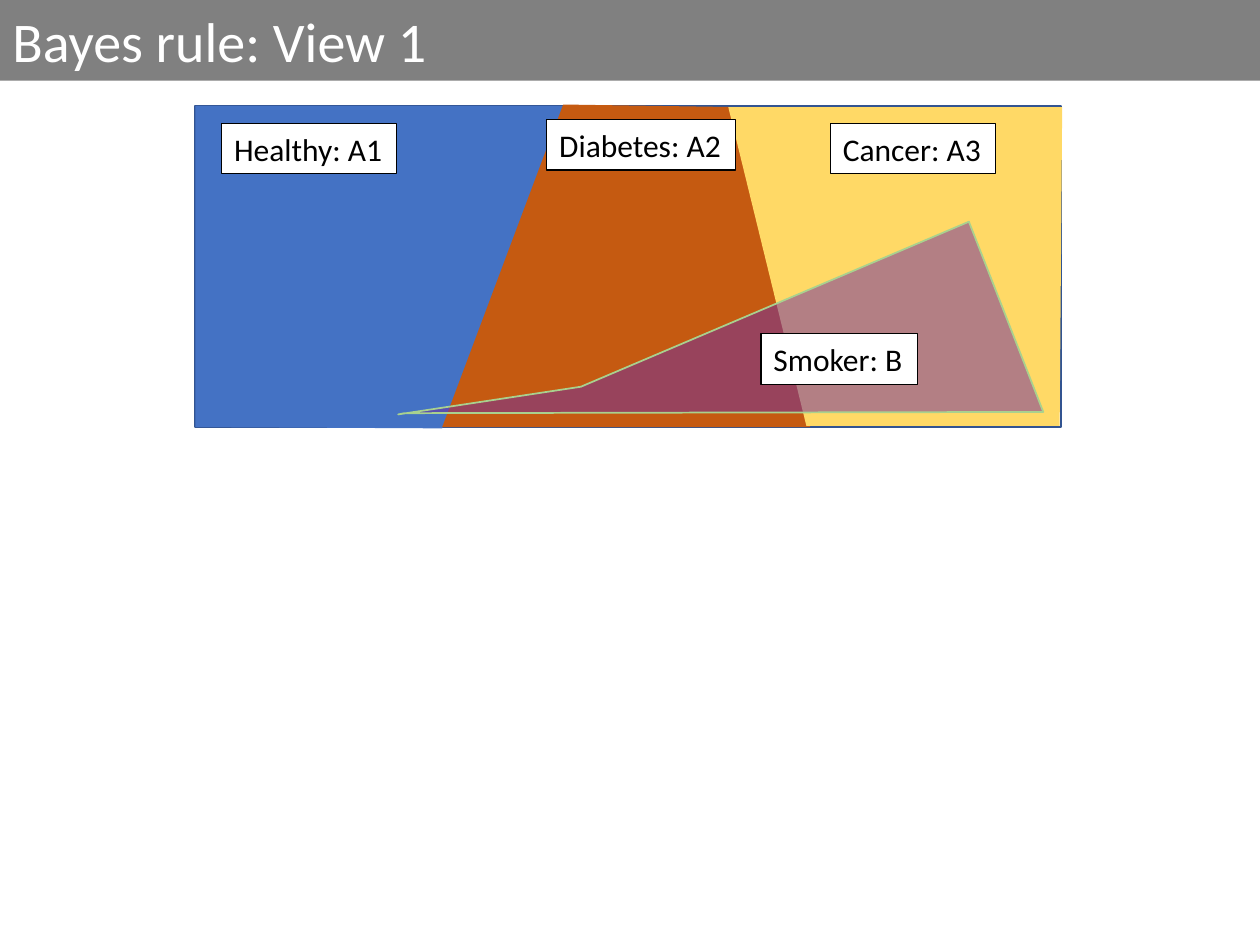
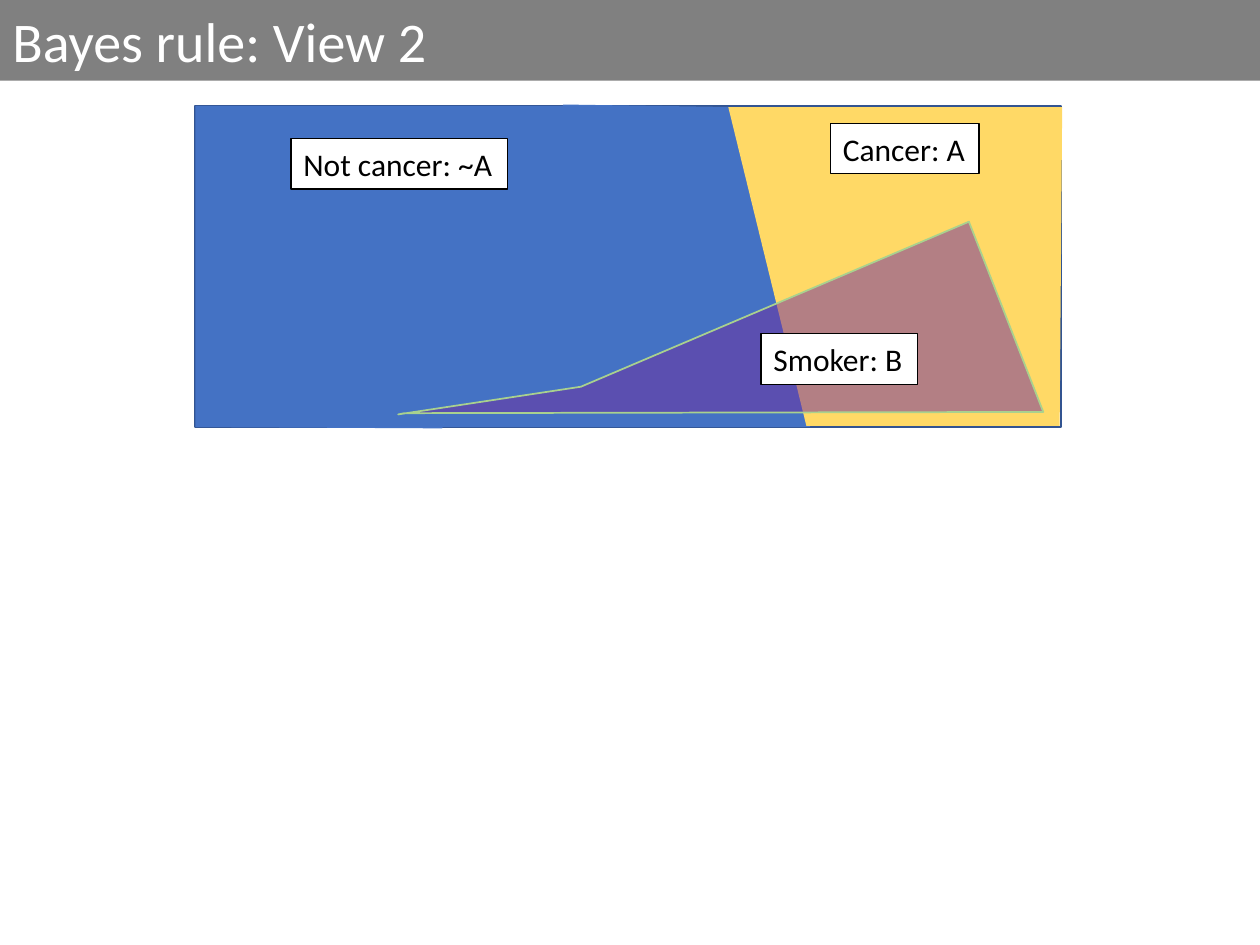
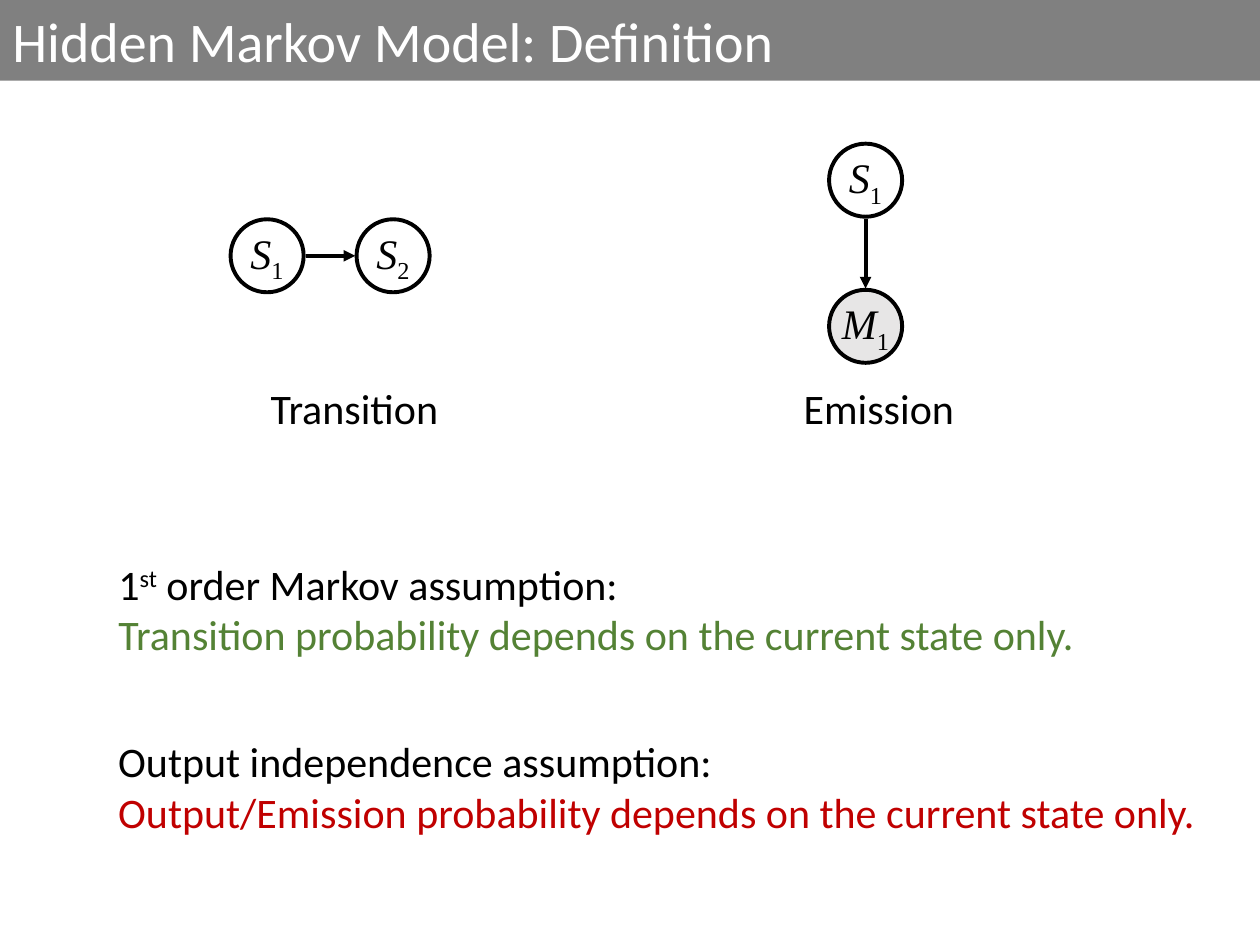
from lxml import etree
from pptx import Presentation
from pptx.dml.color import RGBColor
from pptx.enum.shapes import MSO_CONNECTOR, MSO_SHAPE
from pptx.enum.text import MSO_ANCHOR, MSO_AUTO_SIZE, PP_ALIGN
from pptx.oxml.ns import qn
from pptx.util import Inches, Pt

BLACK, WHITE = "000000", "FFFFFF"
BAND_GREY, OBSERVED_GREY = "808080", "E7E6E6"
BLUE, DARK_BLUE, ORANGE, YELLOW = "4472C4", "325491", "C55A11", "FFD966"
PURPLE, PALE_GREEN = "7030A0", "A9D18E"
GREEN, RED = "548235", "C00000"
BODY_FONT, MATH_FONT = "Calibri", "Times New Roman"

# Outlines are relative to the top left corner of the population box.
POPULATION = (1.55, 0.84, 6.87, 2.55)
HEALTHY_AREA = [(0, 0), (2.93, 0), (1.96, 2.56), (0, 2.55)]
DIABETES_AREA = [(2.92, -0.01), (4.24, 0.01), (4.88, 2.55), (1.96, 2.55)]
CANCER_AREA = [(4.23, 0.01), (6.88, 0.01), (6.86, 2.54), (4.85, 2.54)]
SMOKER_AREA = [(1.66, 2.44), (6.73, 2.43), (6.14, 0.92), (3.06, 2.23), (1.61, 2.45)]
SMOKER_LABEL = ("Smoker: B", 4.49, 1.81, 1.24)

NODE_SIZE = 0.58
ARROW_GAP = 0.02


def rgb(color):
    return RGBColor.from_string(color)


def paint(shape, fill=None, line=None, width=1, opacity=None):
    shape.shadow.inherit = False
    if fill:
        shape.fill.solid()
        shape.fill.fore_color.rgb = rgb(fill)
    else:
        shape.fill.background()
    if opacity:
        color = shape.fill._xPr.find(".//" + qn("a:srgbClr"))
        etree.SubElement(color, qn("a:alpha"), val=str(opacity * 1000))
    if line:
        shape.line.color.rgb = rgb(line)
        shape.line.width = Pt(width)
    else:
        shape.line.fill.background()


def write(shape, paragraphs, size=24, font=BODY_FONT, color=BLACK, wrap=True,
          align=PP_ALIGN.LEFT, anchor=MSO_ANCHOR.TOP, grow=True):
    """Fill a shape with paragraphs, each a list of (text, run format) pairs."""
    frame = shape.text_frame
    frame.word_wrap = wrap
    frame.vertical_anchor = anchor
    frame.auto_size = MSO_AUTO_SIZE.SHAPE_TO_FIT_TEXT if grow else MSO_AUTO_SIZE.NONE
    for index, runs in enumerate(paragraphs):
        paragraph = frame.add_paragraph() if index else frame.paragraphs[0]
        paragraph.alignment = align
        for text, style in runs:
            run = paragraph.add_run()
            run.text = text
            run.font.name = font
            run.font.size = Pt(size)
            run.font.italic = style.get("italic")
            run.font.color.rgb = rgb(style.get("color", color))
            if "baseline" in style:
                run._r.get_or_add_rPr().set("baseline", str(style["baseline"] * 1000))


def add_box(slide, box, kind=MSO_SHAPE.RECTANGLE, **look):
    shape = slide.shapes.add_shape(kind, *map(Inches, box))
    paint(shape, **look)
    return shape


def add_text(slide, box, paragraphs, **style):
    write(slide.shapes.add_textbox(*map(Inches, box)), paragraphs, **style)


def add_titled_slide(deck, title):
    slide = deck.slides.add_slide(deck.slide_layouts[6])
    band = add_box(slide, (0, 0, 10, 0.64), fill=BAND_GREY)
    write(band, [[(title, {})]], size=32, color=WHITE)
    return slide


def add_area(slide, box, outline, **look):
    points = [(Inches(box[0] + x), Inches(box[1] + y)) for x, y in outline]
    builder = slide.shapes.build_freeform(*points[0])
    builder.add_line_segments(points[1:], close=True)
    paint(builder.convert_to_shape(), **look)


def add_label(slide, box, text, x, y, width):
    label = add_box(slide, (box[0] + x, box[1] + y, width, 0.4),
                    fill=WHITE, line=BLACK, width=0.75)
    write(label, [[(text, {})]], size=18, wrap=False)


def add_population(slide, box, diabetes_color, labels):
    add_box(slide, box, line=DARK_BLUE)
    add_area(slide, box, HEALTHY_AREA, fill=BLUE)
    add_area(slide, box, DIABETES_AREA, fill=diabetes_color)
    add_area(slide, box, CANCER_AREA, fill=YELLOW)
    for label in labels:
        add_label(slide, box, *label)
    add_area(slide, box, SMOKER_AREA, fill=PURPLE, opacity=53, line=PALE_GREEN)
    add_label(slide, box, *SMOKER_LABEL)


def add_node(slide, left, top, letter, number, fill=WHITE):
    node = add_box(slide, (left, top, NODE_SIZE, NODE_SIZE), MSO_SHAPE.OVAL,
                   fill=fill, line=BLACK, width=2.25)
    write(node, [[(letter, {"italic": True}), (number, {"baseline": -25})]],
          font=MATH_FONT, wrap=False, align=PP_ALIGN.CENTER,
          anchor=MSO_ANCHOR.MIDDLE, grow=False)


def add_arrow(slide, *ends):
    arrow = slide.shapes.add_connector(MSO_CONNECTOR.STRAIGHT, *map(Inches, ends))
    arrow.line.color.rgb = rgb(BLACK)
    arrow.line.width = Pt(2.25)
    etree.SubElement(arrow.line._get_or_add_ln(), qn("a:tailEnd"), type="triangle")
    etree.SubElement(arrow._element.spPr, qn("a:effectLst"))


def add_transition(slide, left, top):
    step = 1
    middle = top + NODE_SIZE / 2
    add_node(slide, left, top, "S", "1")
    add_node(slide, left + step, top, "S", "2")
    add_arrow(slide, left + NODE_SIZE + ARROW_GAP, middle, left + step - 0.01, middle)
    add_text(slide, (left + 0.22, top + 1.25, 1.54, 0.5), [[("Transition", {})]])


def add_emission(slide, left, top):
    step = 1.16
    center = left + NODE_SIZE / 2
    add_node(slide, left, top, "S", "1")
    add_node(slide, left, top + step, "M", "1", fill=OBSERVED_GREY)
    add_arrow(slide, center, top + NODE_SIZE + ARROW_GAP, center, top + step - 0.01)
    add_text(slide, (left - 0.3, top + 1.85, 1.54, 0.5), [[("Emission", {})]])


def add_assumption(slide, box, heading, statement, color):
    add_text(slide, box, [heading, [(statement, {"color": color})]])


def main():
    deck = Presentation()
    deck.slide_width, deck.slide_height = Inches(10), Inches(7.5)

    view_1 = add_titled_slide(deck, "Bayes rule: View 1")
    add_population(view_1, POPULATION, ORANGE, [
        ("Healthy: A1", 0.21, 0.14, 1.39),
        ("Diabetes: A2", 2.79, 0.11, 1.5),
        ("Cancer: A3", 5.04, 0.14, 1.31),
    ])

    view_2 = add_titled_slide(deck, "Bayes rule: View 2")
    add_population(view_2, POPULATION, BLUE, [
        ("Not cancer: ~A", 0.76, 0.26, 1.72),
        ("Cancer: A", 5.04, 0.14, 1.18),
    ])

    definition = add_titled_slide(deck, "Hidden Markov Model: Definition")
    add_transition(definition, 1.83, 1.74)
    add_emission(definition, 6.58, 1.14)
    add_assumption(
        definition, (0.84, 4.38, 8.25, 0.91),
        [("1", {}), ("st", {"baseline": 30}), (" order Markov assumption:", {})],
        "Transition probability depends on the current state only.", GREEN)
    add_assumption(
        definition, (0.84, 5.79, 8.94, 0.91),
        [("Output independence assumption:", {})],
        "Output/Emission probability depends on the current state only.", RED)

    deck.save("out.pptx")


if __name__ == "__main__":
    main()
